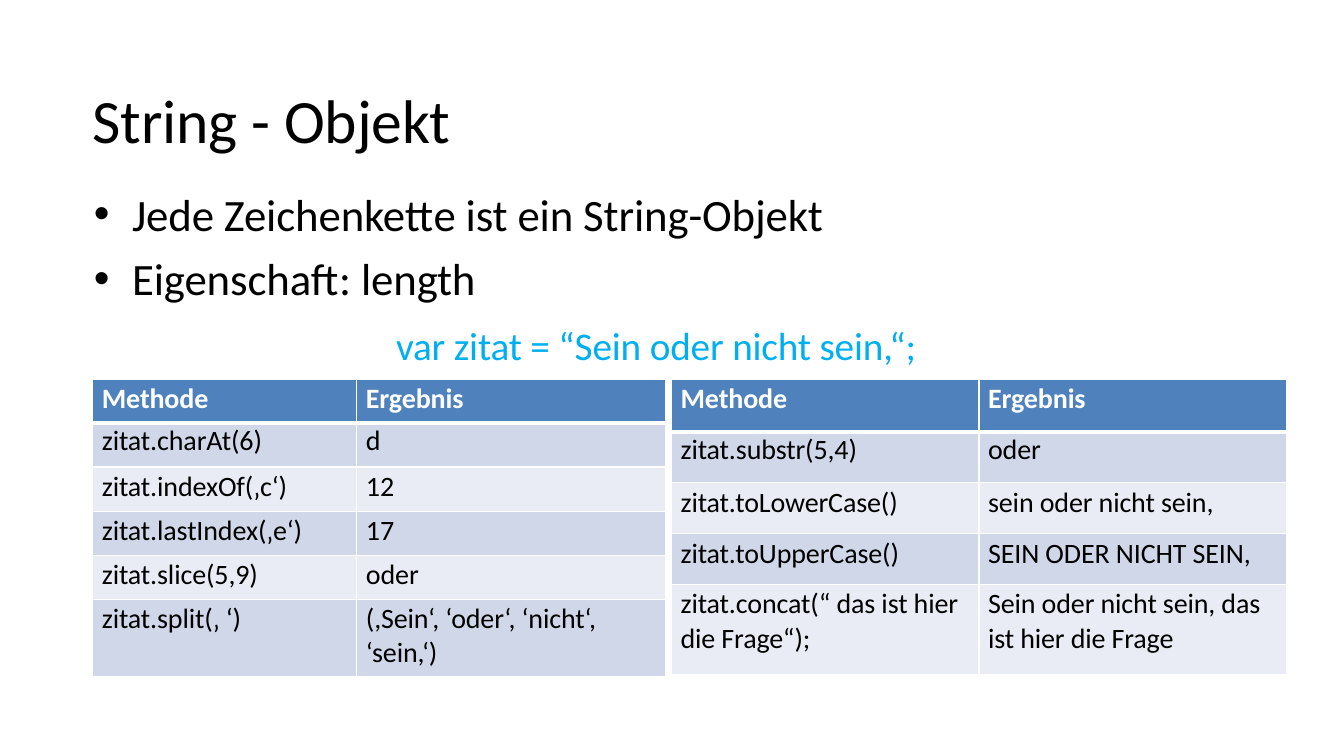
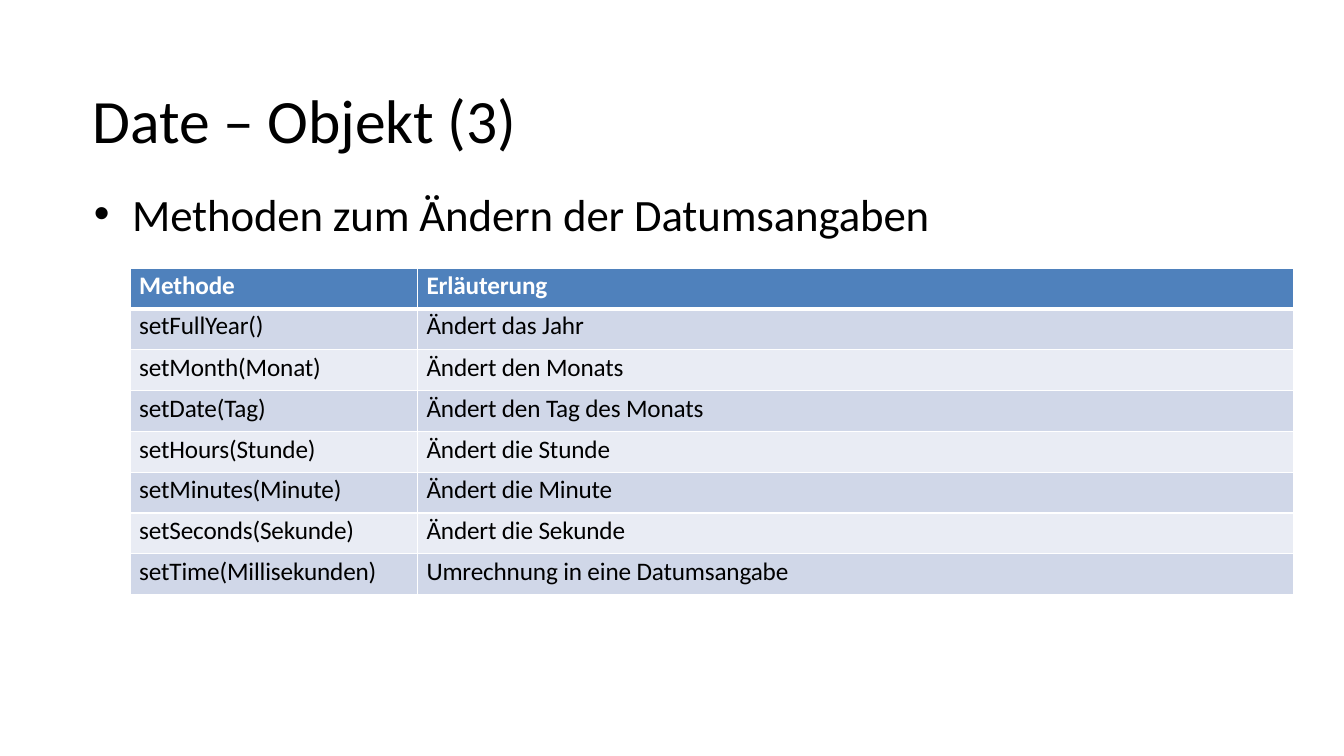
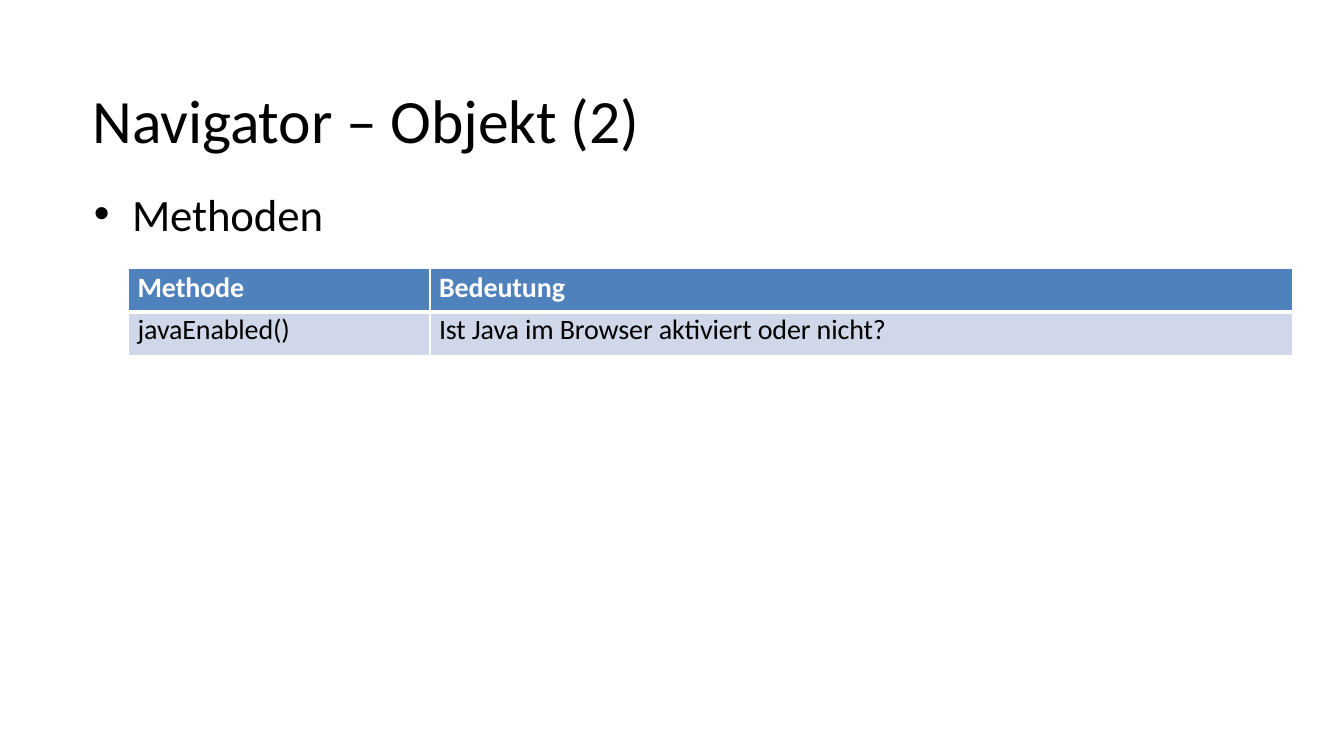
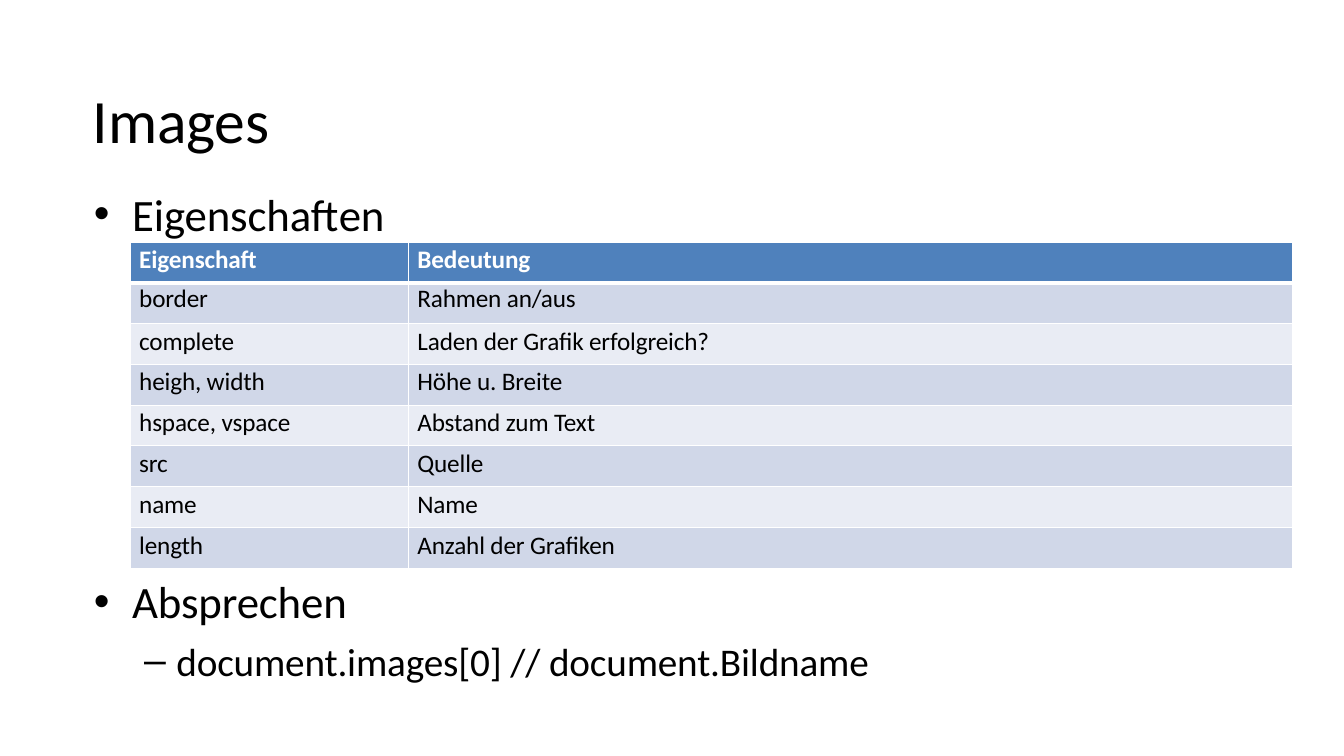
from dataclasses import dataclass

from lxml.etree import SubElement
from pptx import Presentation
from pptx.dml.color import RGBColor
from pptx.enum.text import MSO_ANCHOR, MSO_AUTO_SIZE, PP_ALIGN
from pptx.oxml.ns import qn
from pptx.util import Inches, Pt


@dataclass(frozen=True)
class Theme:
    font: str = "Calibri"
    mark: str = "Arial"
    ink: str = "000000"
    code: str = "00AFEF"
    white: str = "FFFFFF"
    head: str = "4F81BC"
    bands: tuple = ("D0D7E8", "E9ECF4")
    title: int = 44
    large: int = 32
    small: int = 28
    cell: int = 20
    dense: int = 18
    thin: int = 1
    thick: int = 3
    track: int = -10


THEME = Theme()
LEFT, INDENT, HALF = 6.9, 9.68, 49.96
TOP = 24.67

KINDS = {
    "point": dict(size=THEME.large, color=THEME.ink, left=2.93, hang=2.85, gap=7.7, mark="•"),
    "dash": dict(size=THEME.small, color=THEME.ink, left=6.23, hang=2.4, gap=6.8, mark="–"),
    "code": dict(size=THEME.small, color=THEME.code, left=22.58, hang=0, gap=11.7, mark=None),
}


def put(item, values):
    for name, value in values.items():
        setattr(item, name, value)


class Deck:
    def __init__(self, theme):
        self.theme = theme
        self.file = Presentation()
        put(self.file, dict(slide_width=Inches(13.33), slide_height=Inches(7.5)))
        self.slide = None

    def wide(self, share):
        return round(self.file.slide_width * share / 100)

    def high(self, share):
        return round(self.file.slide_height * share / 100)

    def area(self, left, top, width, height):
        return self.wide(left), self.high(top), self.wide(width), self.high(height)

    def frame(self, frame, **extra):
        sides = ("left", "top", "right", "bottom")
        put(frame, {f"margin_{side}": 0 for side in sides})
        put(frame, dict(word_wrap=True, auto_size=MSO_AUTO_SIZE.NONE, **extra))

    def style(self, para, size, color, bold=False):
        para.alignment = PP_ALIGN.LEFT
        for run in para.runs:
            put(run.font, dict(name=self.theme.font, size=Pt(size), bold=bold))
            run.font.color.rgb = RGBColor.from_string(color)
            run._r.get_or_add_rPr().set("spc", str(self.theme.track))

    def page(self, text):
        self.slide = self.file.slides.add_slide(self.file.slide_layouts[5])
        title = self.slide.shapes.title
        names = ("left", "top", "width", "height")
        put(title, dict(zip(names, self.area(LEFT, 6.67, 86.27, 18))))
        title.text_frame.text = text
        self.frame(title.text_frame, vertical_anchor=MSO_ANCHOR.MIDDLE)
        self.style(title.text_frame.paragraphs[0], self.theme.title, self.theme.ink)

    def text(self, top, width, height, lines):
        box = self.slide.shapes.add_textbox(*self.area(LEFT, top, width, height))
        self.frame(box.text_frame)
        for at, (kind, line) in enumerate(lines):
            para = box.text_frame.add_paragraph() if at else box.text_frame.paragraphs[0]
            look = KINDS[kind]
            props = para._p.get_or_add_pPr()
            props.set("marL", str(self.wide(look["left"])))
            props.set("indent", str(-self.wide(look["hang"])))
            if look["mark"]:
                SubElement(props, qn("a:buFont"), typeface=self.theme.mark)
                SubElement(props, qn("a:buChar"), char=look["mark"])
            para.space_before = Pt(look["gap"] if at else 0)
            para.add_run().text = line
            self.style(para, look["size"], look["color"])

    def edge(self, cell, row):
        thick = {0: "B", 1: "T"}.get(row)
        props = cell._tc.get_or_add_tcPr()
        for side in "LRTB":
            width = self.theme.thick if side == thick else self.theme.thin
            line = SubElement(props, qn(f"a:ln{side}"), w=str(Pt(width)))
            fill = SubElement(line, qn("a:solidFill"))
            SubElement(fill, qn("a:srgbClr"), val=self.theme.white)

    def cell(self, cell, text, row, size):
        self.edge(cell, row)
        cell.fill.solid()
        fill = self.theme.bands[(row - 1) % 2] if row else self.theme.head
        cell.fill.fore_color.rgb = RGBColor.from_string(fill)
        put(cell, dict(
            text=text,
            margin_left=self.wide(0.68),
            margin_top=Pt(0.9 if row == 1 else 1.9),
            margin_right=0,
            margin_bottom=0,
        ))
        color = self.theme.ink if row else self.theme.white
        for para in cell.text_frame.paragraphs:
            self.style(para, size, color, bold=not row)

    def table(self, left, top, cols, rows, data, size):
        place = self.area(left, top, sum(cols), sum(rows))
        grid = self.slide.shapes.add_table(len(rows), len(cols), *place).table
        grid.horz_banding = False
        for col, share in zip(grid.columns, cols):
            col.width = self.wide(share)
        for row, share in zip(grid.rows, rows):
            row.height = self.high(share)
        for row, line in enumerate(data):
            for col, text in enumerate(line):
                self.cell(grid.cell(row, col), text, row, size)


def main():
    deck = Deck(THEME)

    deck.page("String - Objekt")
    deck.text(TOP, 61.8, 24.53, [
        ("point", "Jede Zeichenkette ist ein String-Objekt"),
        ("point", "Eigenschaft: length"),
        ("code", "var zitat = “Sein oder nicht sein,“;"),
    ])
    deck.table(LEFT, 50.13, [19.65, 22.95], [5.83] * 5 + [10.27], [
        ("Methode", "Ergebnis"),
        ("zitat.charAt(6)", "d"),
        ("zitat.indexOf(‚c‘)", "12"),
        ("zitat.lastIndex(‚e‘)", "17"),
        ("zitat.slice(5,9)", "oder"),
        ("zitat.split(‚ ‘)", "(,Sein‘, ‘oder‘, ‘nicht‘, ‘sein,‘)"),
    ], THEME.cell)
    deck.table(HALF, 50.13, [22.88] * 2, [7] + [6.73] * 3 + [11.87], [
        ("Methode", "Ergebnis"),
        ("zitat.substr(5,4)", "oder"),
        ("zitat.toLowerCase()", "sein oder nicht sein,"),
        ("zitat.toUpperCase()", "SEIN ODER NICHT SEIN,"),
        ("zitat.concat(“ das ist hier\ndie Frage“);",
         "Sein oder nicht sein, das\nist hier die Frage"),
    ], THEME.cell)

    deck.page("Date – Objekt (3)")
    deck.text(TOP, 62.8, 7.6, [("point", "Methoden zum Ändern der Datumsangaben")])
    deck.table(INDENT, 35.47, [21.38, 65.19], [5.4] * 8, [
        ("Methode", "Erläuterung"),
        ("setFullYear()", "Ändert das Jahr"),
        ("setMonth(Monat)", "Ändert den Monats"),
        ("setDate(Tag)", "Ändert den Tag des Monats"),
        ("setHours(Stunde)", "Ändert die Stunde"),
        ("setMinutes(Minute)", "Ändert die Minute"),
        ("setSeconds(Sekunde)", "Ändert die Sekunde"),
        ("setTime(Millisekunden)", "Umrechnung in eine Datumsangabe"),
    ], THEME.dense)

    deck.page("Navigator – Objekt (2)")
    deck.text(TOP, 17.33, 7.6, [("point", "Methoden")])
    deck.table(9.56, 35.47, [22.43, 64.21], [5.8] * 2, [
        ("Methode", "Bedeutung"),
        ("javaEnabled()", "Ist Java im Browser aktiviert oder nicht?"),
    ], THEME.cell)

    deck.page("Images")
    deck.text(TOP, 22, 7.6, [("point", "Eigenschaften")])
    deck.text(75.87, 58.36, 15.07, [
        ("point", "Absprechen"),
        ("dash", "document.images[0] // document.Bildname"),
    ])
    deck.table(INDENT, 32, [20.7, 65.83], [5.4] * 8, [
        ("Eigenschaft", "Bedeutung"),
        ("border", "Rahmen an/aus"),
        ("complete", "Laden der Grafik erfolgreich?"),
        ("heigh, width", "Höhe u. Breite"),
        ("hspace, vspace", "Abstand zum Text"),
        ("src", "Quelle"),
        ("name", "Name"),
        ("length", "Anzahl der Grafiken"),
    ], THEME.dense)

    deck.file.save("out.pptx")


if __name__ == "__main__":
    main()
